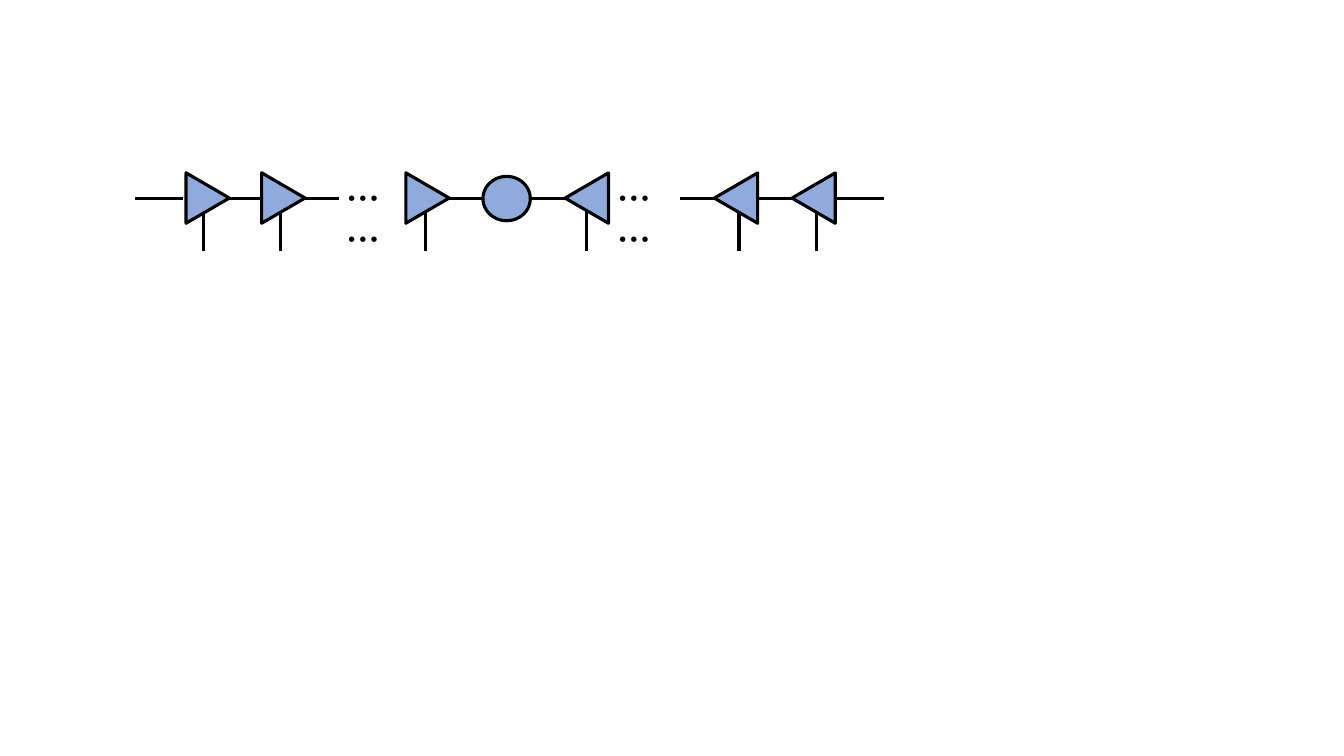
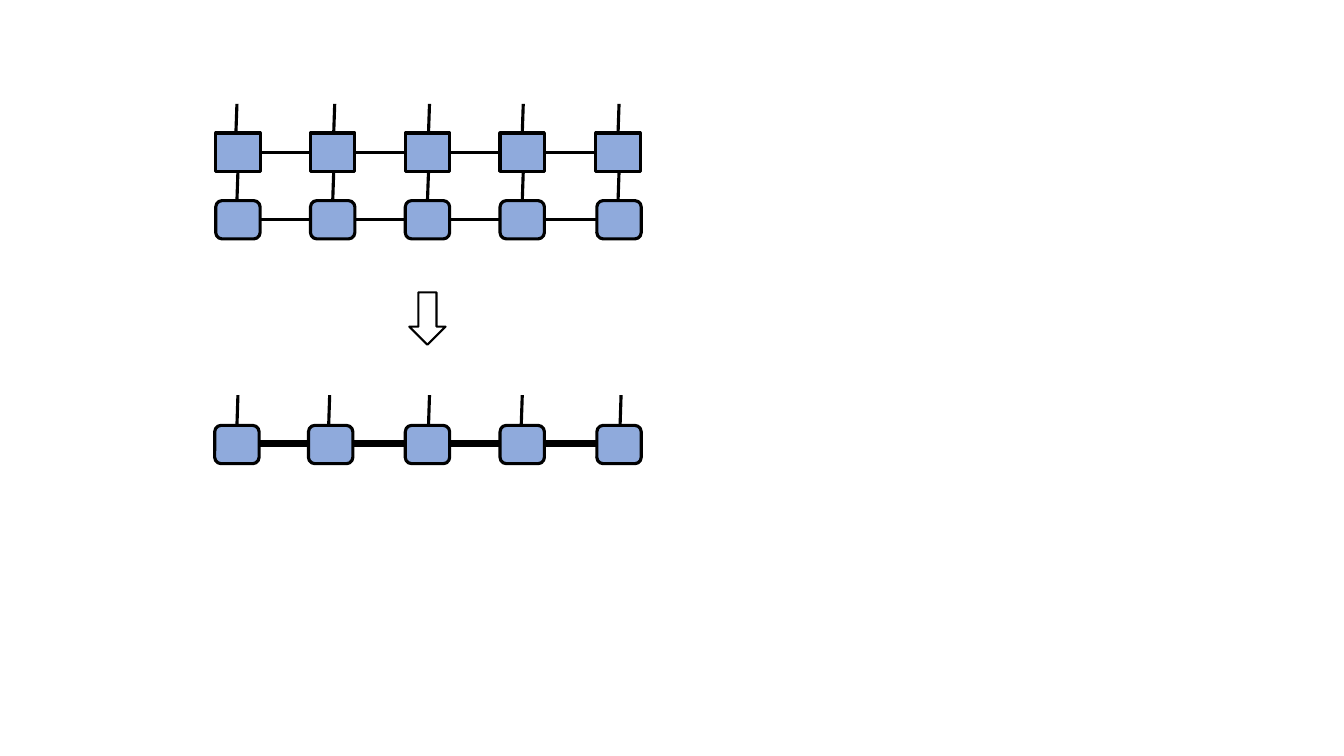
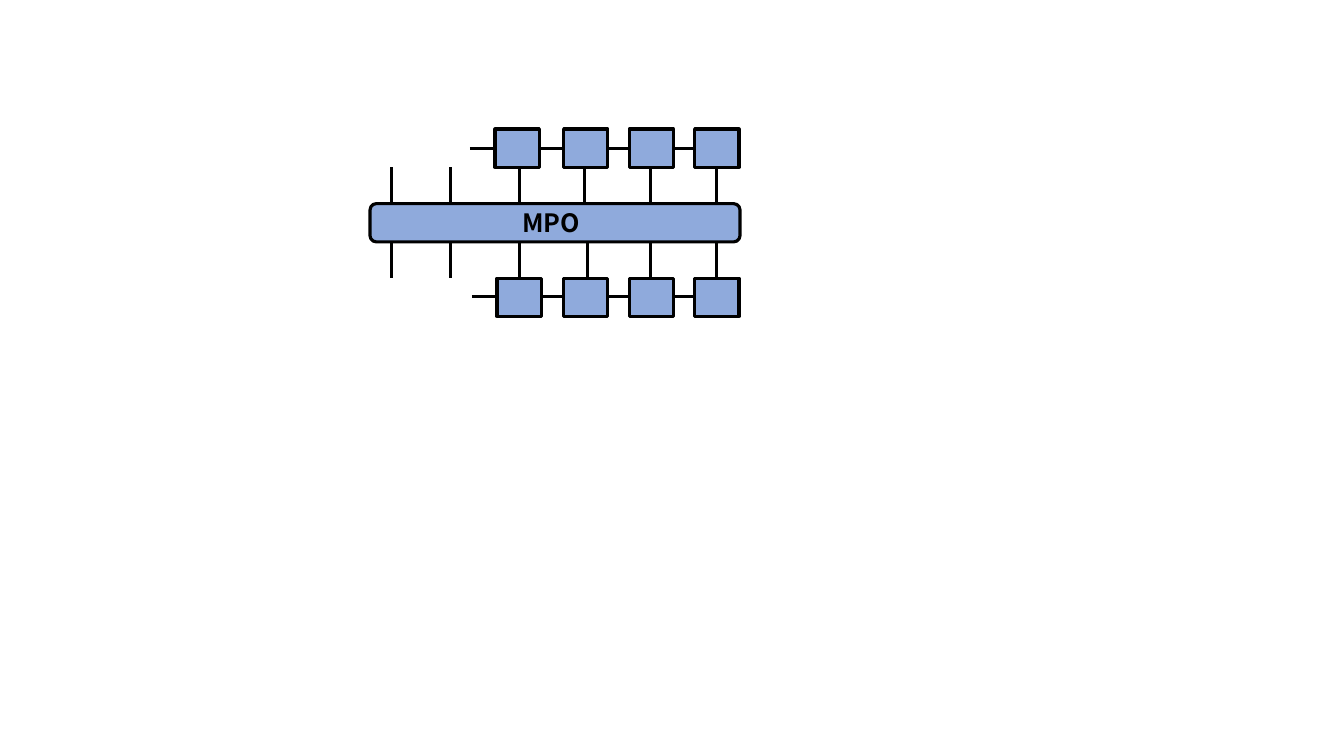
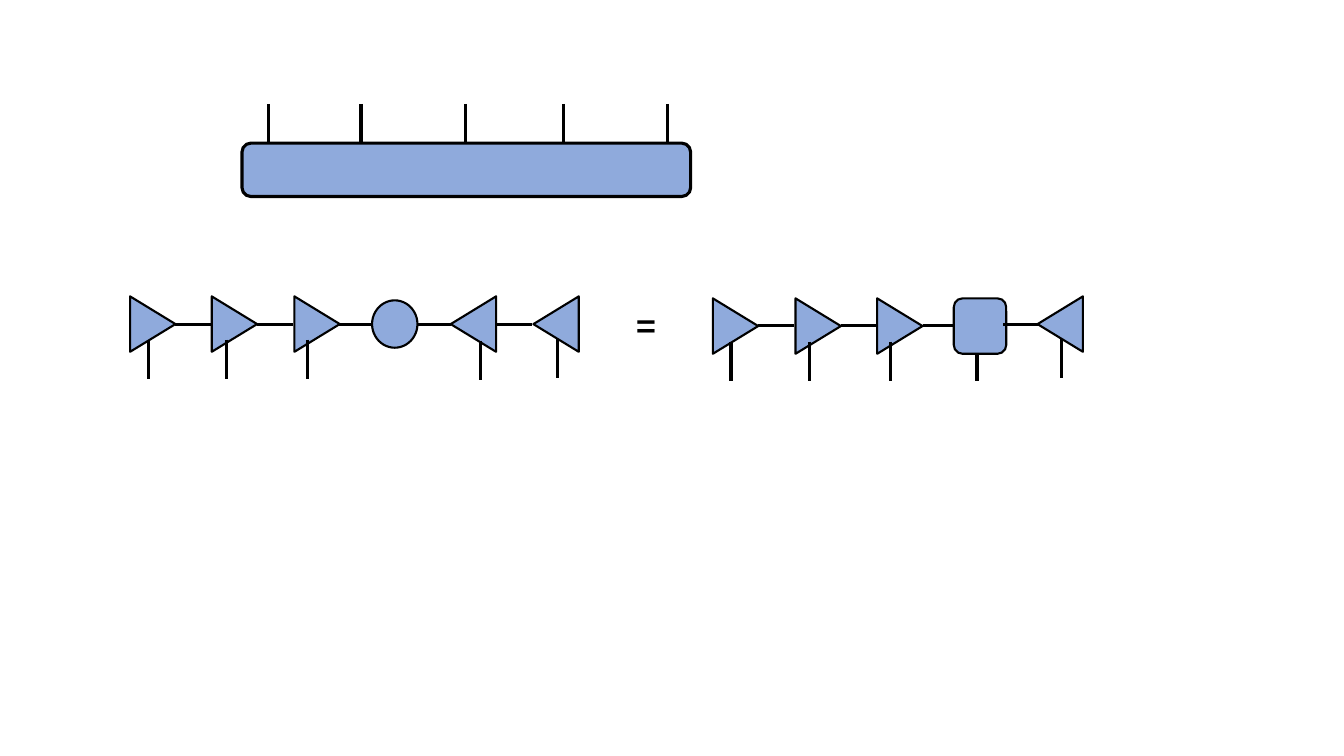
from lxml import etree
from pptx import Presentation
from pptx import util as u
from pptx.dml.color import RGBColor
from pptx.enum import shapes, text
from pptx.oxml import ns

PX = 9144  # 100 px to the inch
BLUE, BLACK, WHITE = "8FAADC", "000000", "FFFFFF"
FONT = "Noto Sans CJK SC"
THIN, MEDIUM, THICK = 1.5, 2.25, 4.5
TENSOR_W, TENSOR_H = 44, 38
LEG = 39
RIGHT, LEFT = 90, 270
KIND = shapes.MSO_SHAPE


def px(*lengths):
    return [u.Emu(length * PX) for length in lengths]


def rgb(value):
    return RGBColor.from_string(value)


def add_node(slide, kind, box, fill=BLUE, weight=MEDIUM, turn=0):
    node = slide.shapes.add_shape(kind, *px(*box))
    node.shadow.inherit = False
    node.fill.solid()
    node.fill.fore_color.rgb = rgb(fill)
    node.line.color.rgb = rgb(BLACK)
    node.line.width = u.Pt(weight)
    node.rotation = turn


def add_line(slide, x1, y1, x2, y2, weight=MEDIUM):
    line = slide.shapes.add_connector(shapes.MSO_CONNECTOR.STRAIGHT,
                                      *px(x1, y1, x2, y2))
    line.line.color.rgb = rgb(BLACK)
    line.line.width = u.Pt(weight)
    etree.SubElement(line.element.spPr, ns.qn("a:effectLst"))


def add_text(slide, words, box, size=24, bold=True, color=BLACK):
    frame = slide.shapes.add_textbox(*px(*box)).text_frame
    frame.word_wrap = True
    run = frame.paragraphs[0].add_run()
    run.text = words
    run.font.size = u.Pt(size)
    run.font.bold = bold
    run.font.color.rgb = rgb(color)
    run.font.name = FONT
    latin = run.font.fill._xPr.find(ns.qn("a:latin"))
    latin.addnext(etree.Element(ns.qn("a:ea"), typeface=FONT))


def add_isometries(slide, lefts, top, turn, size, weight=MEDIUM):
    """Triangles pointing along the chain; lefts and top are before the turn."""
    for left in lefts:
        add_node(slide, KIND.ISOSCELES_TRIANGLE, (left, top, *size),
                 weight=weight, turn=turn)


def add_legs(slide, xs, top, length=LEG, lean=0):
    for x in xs:
        add_line(slide, x, top, x - lean, top + length)


def add_bonds(slide, spans, y, weight=MEDIUM):
    for start, end in spans:
        add_line(slide, start, y, end, y, weight)


def add_tensor_row(slide, kind, lefts, top, bond_y, weight=MEDIUM):
    """Equal tensors, each joined to the next by a bond."""
    for left in lefts:
        add_node(slide, kind, (left, top, TENSOR_W, TENSOR_H))
    spans = [(a + TENSOR_W, b) for a, b in zip(lefts, lefts[1:])]
    add_bonds(slide, spans, bond_y, weight)


def draw_canonical_chain(slide):
    size = (50, 43)
    add_isometries(slide, (181, 256, 399), 175, RIGHT, size)
    add_isometries(slide, (557, 705, 782), 175, LEFT, size)
    add_node(slide, KIND.OVAL, (479, 175, 47, 44))
    add_bonds(slide, [(134, 182), (225, 259), (302, 336), (445, 479),
                      (526, 561), (674, 709), (751, 786), (828, 877)], 197)
    add_legs(slide, (202, 278, 422, 582, 733, 810), 210)
    for left in (334, 603):
        add_text(slide, "……", (left, 172, 85, 50))


def draw_operator_application(slide):
    state = [214, 308, 402, 496, 592]
    operator = state[:-1] + [591]
    add_tensor_row(slide, KIND.ROUNDED_RECTANGLE, state, 199, 218)
    add_tensor_row(slide, KIND.RECTANGLE, operator, 132, 151)
    add_legs(slide, (236, 331, 425, 519, 614), 170, 29, lean=1)
    add_legs(slide, (235, 332, 426, 519, 614), 103, 29, lean=1)

    add_node(slide, KIND.DOWN_ARROW, (406, 290, 36, 52), WHITE, THIN)

    result = [213, 306, 402, 496, 592]
    add_tensor_row(slide, KIND.ROUNDED_RECTANGLE, result, 422, 440, THICK)
    add_legs(slide, (236, 327, 426, 518, 616), 392, 30, lean=1)


def draw_operator_environment(slide):
    add_node(slide, KIND.ROUNDED_RECTANGLE, (367, 202, 367, 38))
    shared = [559, 624, 689]
    for first, top, bond_y, legs_top, third_leg in (
            (491, 128, 147, 166, 580), (493, 276, 294, 240, 583)):
        add_legs(slide, (388, 447, 515, third_leg, 645, 711), legs_top, 36)
        add_tensor_row(slide, KIND.RECTANGLE, [first] + shared, top, bond_y)
        add_bonds(slide, [(first - 25, first)], bond_y)
    add_text(slide, "MPO", (508, 201, 103, 40), size=18)


def draw_decomposition(slide):
    size = (55, 45)
    add_node(slide, KIND.ROUNDED_RECTANGLE, (240, 142, 445, 53))
    add_legs(slide, (266, 358, 462, 559, 662), 103)

    add_isometries(slide, (124, 205, 287), 299, RIGHT, size, THIN)
    add_isometries(slide, (442, 524), 299, LEFT, size, THIN)
    add_node(slide, KIND.OVAL, (369, 298, 45, 47), weight=THIN)
    add_bonds(slide, [(174, 210), (255, 291), (336, 369),
                      (414, 447), (492, 528)], 322)
    add_legs(slide, (147, 225, 305), 337)
    add_legs(slide, (477,), 338)
    add_legs(slide, (553,), 336)

    add_text(slide, "=", (621, 299, 45, 50))

    add_isometries(slide, (702, 784, 865), 301, RIGHT, size, THIN)
    add_node(slide, KIND.ROUNDED_RECTANGLE, (946, 296, 52, 55), weight=THIN)
    add_isometries(slide, (1024,), 299, LEFT, size, THIN)
    add_bonds(slide, [(752, 788), (834, 870), (915, 946)], 323)
    add_bonds(slide, [(995, 1032)], 322)
    add_legs(slide, (725, 803, 883), 339)
    add_legs(slide, (969,), 351, 27)
    add_legs(slide, (1053,), 336)


def main():
    deck = Presentation()
    deck.slide_width, deck.slide_height = px(1333, 750)
    for draw in (draw_canonical_chain, draw_operator_application,
                 draw_operator_environment, draw_decomposition):
        draw(deck.slides.add_slide(deck.slide_layouts[6]))
    deck.save("out.pptx")


if __name__ == "__main__":
    main()
